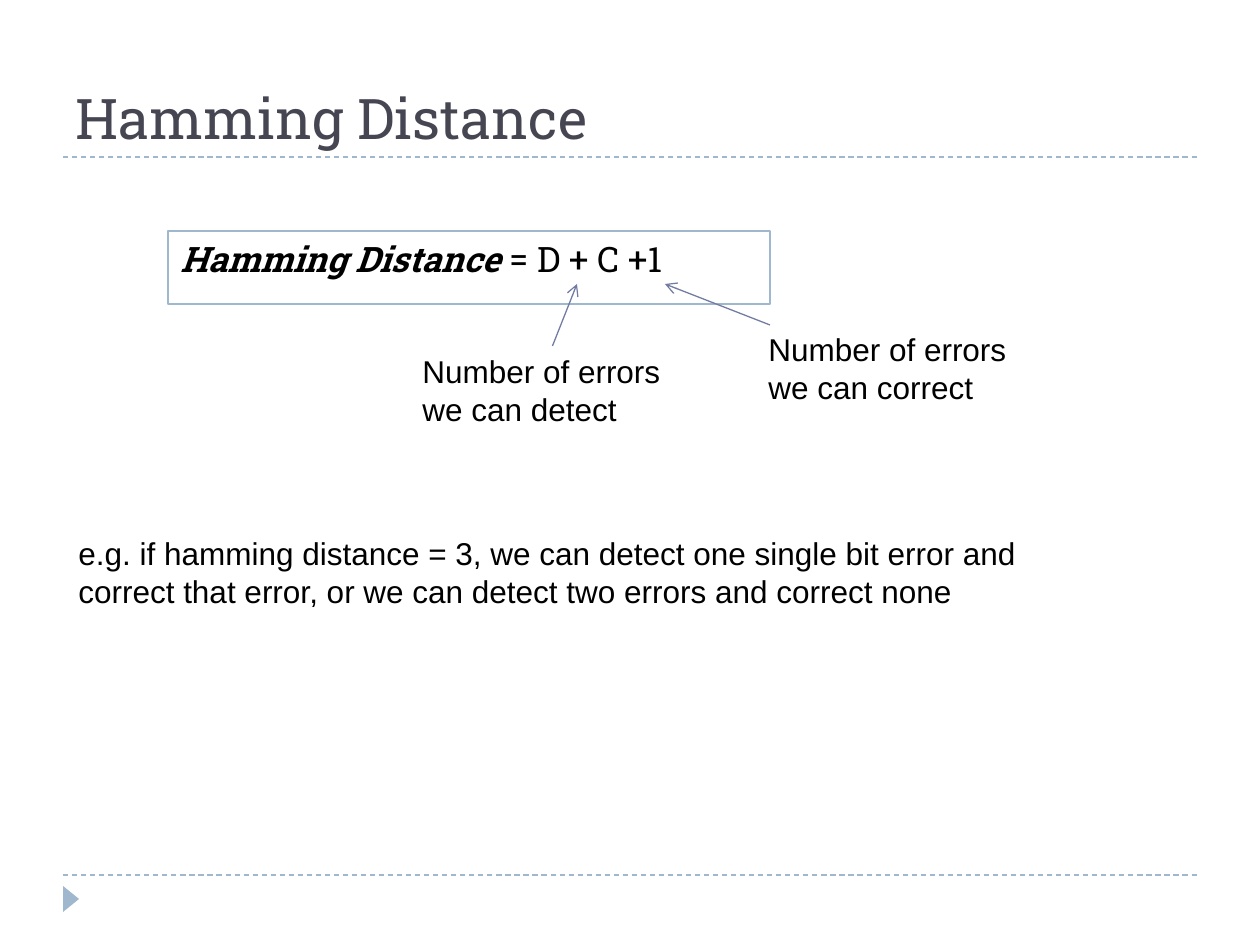
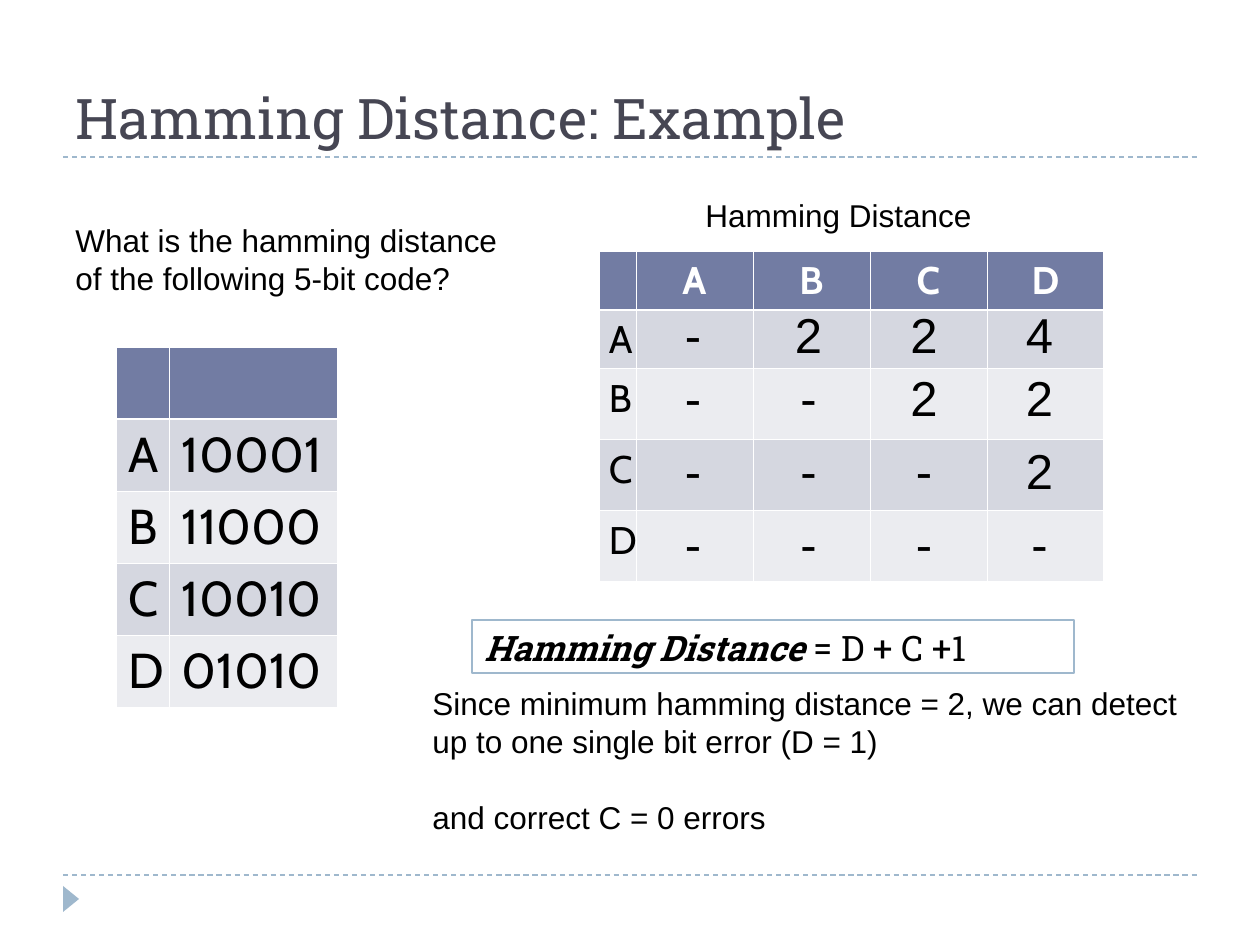
from dataclasses import dataclass

from lxml import etree
from pptx import Presentation
from pptx import util as u
from pptx.dml.color import RGBColor
from pptx.enum import dml, shapes, text
from pptx.oxml.ns import qn

PX = 914400 / 126  # EMU per px


@dataclass(frozen=True)
class Theme:
    title: str = "464653"
    accent: str = "727CA3"
    pale: str = "9FB8CD"
    bands: tuple = ("D5D7E0", "EBECF0")
    ink: str = "000000"
    paper: str = "FFFFFF"
    serif: str = "Roboto Slab"
    sans: str = "Arial"
    table: str = "Cabin"
    title_size: int = 32
    formula_size: int = 20
    body_size: int = 18
    header_size: int = 22
    code_size: int = 28


T = Theme()


def box(*lengths):
    return [round(n * PX) for n in lengths]


def write(frame, lines, size, font, color=T.ink, align=text.PP_ALIGN.LEFT, bold=False):
    frame.word_wrap = True
    for i, line in enumerate(lines):
        paragraph = frame.paragraphs[0] if i == 0 else frame.add_paragraph()
        paragraph.alignment = align
        paragraph.font.size = u.Pt(size)
        paragraph.font.name = font
        paragraph.font.bold = bold
        paragraph.font.color.rgb = RGBColor.from_string(color)
        paragraph.add_run().text = line
    return frame.paragraphs


prs = Presentation()
prs.slide_width, prs.slide_height = box(1260, 945)
layout = prs.slide_layouts[5]
detection = prs.slides.add_slide(layout)
example = prs.slides.add_slide(layout)

# Shared layout: dashed rules and corner marker
for y in (875, 157):
    rule = detection.shapes.add_connector(shapes.MSO_CONNECTOR.STRAIGHT, *box(63, y, 1197, y))
    rule.line.color.rgb = RGBColor.from_string(T.pale)
    rule.line.width = u.Pt(0.75)
    rule.line.dash_style = dml.MSO_LINE.DASH
    etree.SubElement(rule.element.spPr, qn("a:effectLst"))
    layout.shapes.element.append(rule.element)
marker = detection.shapes.add_shape(shapes.MSO_SHAPE.ISOSCELES_TRIANGLE, *box(58, 891, 26, 16))
marker.rotation = 90
marker.shadow.inherit = False
marker.fill.solid()
marker.fill.fore_color.rgb = RGBColor.from_string(T.pale)
marker.line.fill.background()
layout.shapes.element.append(marker.element)

# Titles
for slide, heading in ((detection, "Hamming Distance"), (example, "Hamming Distance: Example")):
    title = slide.shapes.title
    title.left, title.top, title.width, title.height = box(63, 21, 1134, 136)
    title.text_frame.vertical_anchor = text.MSO_ANCHOR.BOTTOM
    write(title.text_frame, [heading], T.title_size, T.serif, T.title)

# Formula boxes
for slide, place in ((detection, (168, 231, 602, 73)), (example, (472, 620, 602, 53))):
    formula = slide.shapes.add_shape(shapes.MSO_SHAPE.RECTANGLE, *box(*place))
    formula.shadow.inherit = False
    formula.fill.solid()
    formula.fill.fore_color.rgb = RGBColor.from_string(T.paper)
    formula.line.color.rgb = RGBColor.from_string(T.pale)
    formula.line.width = u.Pt(1.5)
    formula.text_frame.vertical_anchor = text.MSO_ANCHOR.TOP
    equation = write(formula.text_frame, ["Hamming Distance"], T.formula_size, T.serif)[0]
    equation.runs[0].font.bold = equation.runs[0].font.italic = True
    equation.add_run().text = " = D + C +1"

# Explanations
notes = [
    (detection, (410, 346, 285, 88), ["Number of errors we can detect"]),
    (detection, (756, 324, 299, 88), ["Number of errors we can correct"]),
    (detection, (66, 528, 1005, 88),
     ["e.g. if hamming distance = 3, we can detect one single bit error and correct "
      "that error, or we can detect two errors and correct none"]),
    (example, (63, 215, 494, 88),
     ["What is the hamming distance", "of the following 5-bit code?"]),
    (example, (693, 190, 325, 50), ["Hamming Distance"]),
    (example, (420, 678, 809, 164),
     ["Since minimum hamming distance = 2, we can detect up to one single bit error (D = 1)",
      "and correct C = 0 errors"]),
]
note_boxes = []
for slide, place, lines in notes:
    note = slide.shapes.add_textbox(*box(*place))
    note.text_frame.auto_size = text.MSO_AUTO_SIZE.SHAPE_TO_FIT_TEXT
    write(note.text_frame, lines, T.body_size, T.sans)
    note_boxes.append(note)
note_boxes[-1].text_frame.paragraphs[1].space_before = u.Pt(21.6)

# Arrows from the explanations to D and C
for ends, source in (((551, 346, 577, 284), note_boxes[0]), ((770, 325, 665, 284), None)):
    arrow = detection.shapes.add_connector(shapes.MSO_CONNECTOR.STRAIGHT, *box(*ends))
    if source:
        arrow.begin_connect(source, 0)
    arrow.line.color.rgb = RGBColor.from_string(T.accent)
    arrow.line.width = u.Pt(0.75)
    etree.SubElement(arrow.line._get_or_add_ln(), qn("a:tailEnd"), type="arrow")
    etree.SubElement(arrow.element.spPr, qn("a:effectLst"))

# Code table and distance table
codes = [("", ""), ("A", "10001"), ("B", "11000"), ("C", "10010"), ("D", "01010")]
distances = [("", *"ABCD")] + [(name, "", "", "", "") for name in "ABCD"]
tables = [
    (codes, (116, 347), (53, 168), (72,) * 5, T.code_size, 13, text.PP_ALIGN.LEFT),
    (distances, (599, 251), (37, 117, 117, 117, 117), (55, 55, 71, 71, 71),
     T.header_size, 10, text.PP_ALIGN.CENTER),
]
for rows, corner, widths, heights, size, margin, align in tables:
    table = example.shapes.add_table(
        len(rows), len(widths), *box(*corner, sum(widths), sum(heights))).table
    for column, width in zip(table.columns, box(*widths)):
        column.width = width
    for r, (row, height) in enumerate(zip(rows, box(*heights))):
        table.rows[r].height = height
        for c, value in enumerate(row):
            cell = table.cell(r, c)
            cell.margin_left = cell.margin_right = box(margin)[0]
            if value:
                write(cell.text_frame, [value], size, T.table,
                      T.ink if r else T.paper, align, bold=r == 0)
            # Thin white borders, heavier below the header
            for side in ("L", "R", "T", "B"):
                heavy = (r, side) in ((0, "B"), (1, "T"))
                edge = etree.SubElement(cell._tc.get_or_add_tcPr(), qn(f"a:ln{side}"),
                                        w=str(u.Pt(1.47 if heavy else 0.45)))
                paint = etree.SubElement(edge, qn("a:solidFill"))
                etree.SubElement(paint, qn("a:srgbClr"), val=T.paper)
            cell.fill.solid()
            cell.fill.fore_color.rgb = RGBColor.from_string(T.bands[(r - 1) % 2] if r else T.accent)

# Pairwise distances laid over the distance table
for y, values in zip((305, 368, 441, 514), ("-224", "--22", "---2", "----")):
    for c, value in enumerate(values):
        distance = example.shapes.add_textbox(*box(672 + 115.5 * c, y, 42, 59))
        frame = distance.text_frame
        frame.margin_left = frame.margin_right = box(5)[0]
        frame.margin_top = frame.margin_bottom = 0
        frame.auto_size = text.MSO_AUTO_SIZE.SHAPE_TO_FIT_TEXT
        write(frame, [value], T.code_size, T.sans, align=text.PP_ALIGN.CENTER)

prs.save("out.pptx")
